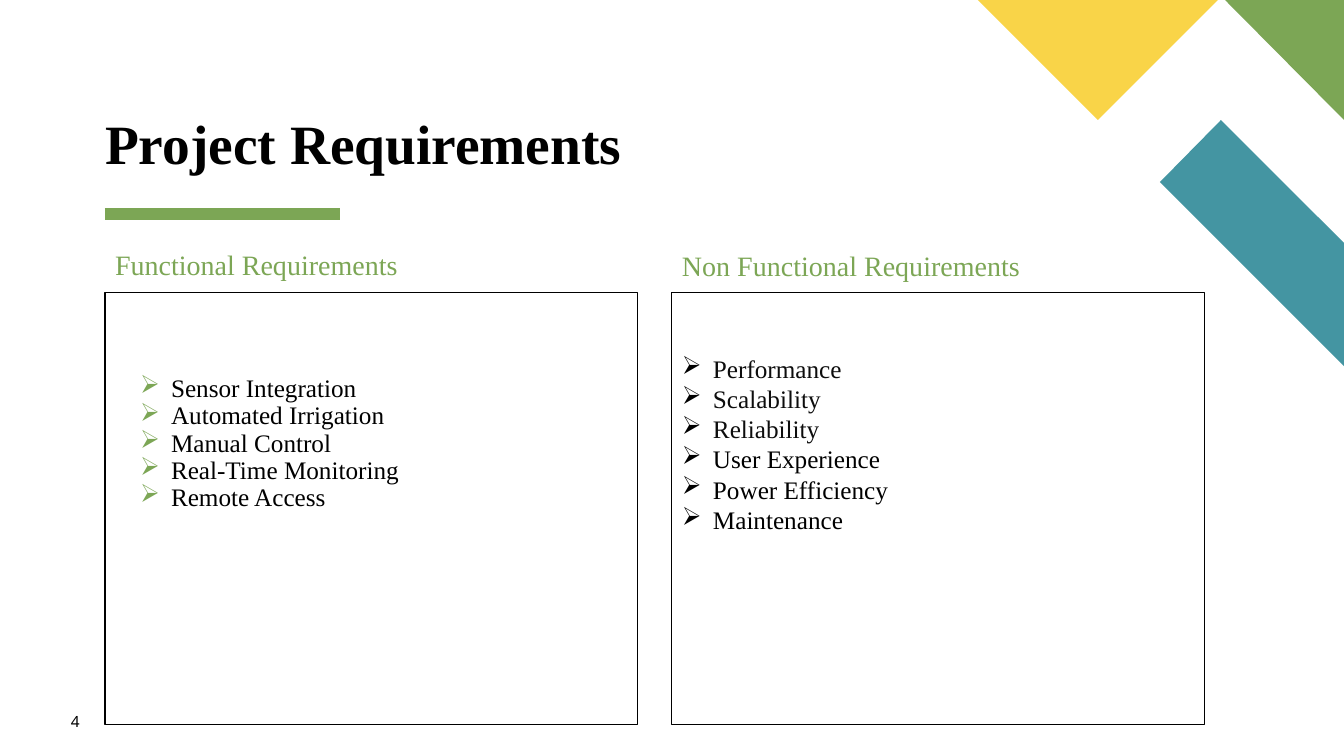
import lxml.etree
import pptx
import pptx.dml.color
import pptx.enum.shapes
import pptx.enum.text
import pptx.oxml.ns
import pptx.util

EMU_PER_PX = 914400 / 100.8
BLACK = pptx.dml.color.RGBColor(0x00, 0x00, 0x00)
INK = pptx.dml.color.RGBColor(0x0D, 0x0D, 0x0D)
GREEN = pptx.dml.color.RGBColor(0x7C, 0xA6, 0x55)
TEAL = pptx.dml.color.RGBColor(0x44, 0x95, 0xA2)
YELLOW = pptx.dml.color.RGBColor(0xF9, 0xD4, 0x48)
SERIF = "Times New Roman"
SANS = "Noto Sans"

PANEL_TOP, PANEL_WIDTH, PANEL_HEIGHT = 293, 533, 432
LEFT_COLUMN, RIGHT_COLUMN = 105, 672
BULLET_HANG = 31

CORNER_PIECES = [
    (TEAL, [(1344, 366), (1344, 243), (1221, 120), (1160, 182)]),
    (GREEN, [(1344, 120), (1344, 0), (1225, 0)]),
    (YELLOW, [(978, 0), (1098, 120), (1218, 0)]),
]
FUNCTIONAL = [
    ("Sensor Integration", BLACK),
    ("Automated Irrigation", BLACK),
    ("Manual Control", BLACK),
    ("Real-Time Monitoring", BLACK),
    ("Remote Access", BLACK),
]
NON_FUNCTIONAL = [
    ("Performance", INK),
    ("Scalability", INK),
    ("Reliability", INK),
    ("User Experience", BLACK),
    ("Power Efficiency", BLACK),
    ("Maintenance", BLACK),
]


def px(length):
    return pptx.util.Emu(round(length * EMU_PER_PX))


def set_frame(frame, left, top, right, bottom):
    frame.word_wrap = True
    frame.margin_left, frame.margin_top = px(left), px(top)
    frame.margin_right, frame.margin_bottom = px(right), px(bottom)


def style_paragraph(para, font, size, color, spacing, bold=False):
    para.alignment = pptx.enum.text.PP_ALIGN.LEFT
    para.line_spacing = spacing
    para.font.name = font
    para.font.size = pptx.util.Pt(size)
    para.font.color.rgb = color
    para.font.bold = bold


def add_label(page, text, bounds, font, size, color, inset=(0, 0), spacing=0.9,
              bold=False, anchor=pptx.enum.text.MSO_ANCHOR.TOP):
    box = page.shapes.add_textbox(*map(px, bounds))
    frame = box.text_frame
    set_frame(frame, *inset, *inset)
    frame.vertical_anchor = anchor
    para = frame.paragraphs[0]
    para.text = text
    style_paragraph(para, font, size, color, spacing, bold)


def add_corner_piece(page, color, points):
    builder = page.shapes.build_freeform(*points[0], scale=EMU_PER_PX)
    builder.add_line_segments(points[1:], close=True)
    piece = builder.convert_to_shape()
    piece.shadow.inherit = False
    piece.fill.solid()
    piece.fill.fore_color.rgb = color
    piece.line.fill.background()


def add_rule(page, left, right, y, color, width):
    rule = page.shapes.add_connector(
        pptx.enum.shapes.MSO_CONNECTOR.STRAIGHT, px(left), px(y), px(right), px(y))
    rule.line.color.rgb = color
    rule.line.width = pptx.util.Pt(width)
    properties = rule._element.spPr
    lxml.etree.SubElement(properties, pptx.oxml.ns.qn("a:effectLst"))


def add_bullet(para, indent, color):
    properties = para._p.get_or_add_pPr()
    properties.set("marL", str(px(indent)))
    properties.set("indent", str(-px(BULLET_HANG)))
    bullet_color = lxml.etree.SubElement(properties, pptx.oxml.ns.qn("a:buClr"))
    lxml.etree.SubElement(bullet_color, pptx.oxml.ns.qn("a:srgbClr"), val=str(color))
    lxml.etree.SubElement(properties, pptx.oxml.ns.qn("a:buChar"), char="➢")
    defaults = properties.find(pptx.oxml.ns.qn("a:defRPr"))
    properties.append(defaults)


def add_panel(page, left, items, top_inset, indent, spacing, bullet_color):
    panel = page.shapes.add_shape(
        pptx.enum.shapes.MSO_SHAPE.RECTANGLE,
        px(left), px(PANEL_TOP), px(PANEL_WIDTH), px(PANEL_HEIGHT))
    panel.shadow.inherit = False
    panel.fill.background()
    panel.line.color.rgb = BLACK
    panel.line.width = pptx.util.Pt(0.75)
    frame = panel.text_frame
    set_frame(frame, 10, top_inset, 10, 5)
    frame.vertical_anchor = pptx.enum.text.MSO_ANCHOR.TOP
    for index, (text, color) in enumerate(items):
        para = frame.paragraphs[0] if index == 0 else frame.add_paragraph()
        para.text = text
        style_paragraph(para, SERIF, 18, color, spacing)
        add_bullet(para, indent, bullet_color)


def main():
    deck = pptx.Presentation()
    deck.slide_width, deck.slide_height = px(1344), px(756)
    page = deck.slides.add_slide(deck.slide_layouts[6])

    add_rule(page, LEFT_COLUMN, 340, 214, GREEN, 8)
    for color, points in CORNER_PIECES:
        add_corner_piece(page, color, points)

    add_label(page, "Project Requirements", (LEFT_COLUMN, 129, 637, 47), SERIF, 39.6,
              BLACK, bold=True, anchor=pptx.enum.text.MSO_ANCHOR.BOTTOM)
    add_label(page, "Functional Requirements", (LEFT_COLUMN, 246, PANEL_WIDTH, 47),
              SERIF, 20, GREEN, inset=(10, 5))
    add_panel(page, LEFT_COLUMN, FUNCTIONAL, 83, 56, 0.9, GREEN)
    add_label(page, "4", (71, 712, 23, 27), SANS, 11, BLACK, spacing=1.0)
    add_label(page, "Non Functional Requirements", (RIGHT_COLUMN, 247, 566, 50),
              SERIF, 20, GREEN, inset=(10, 5))
    add_panel(page, RIGHT_COLUMN, NON_FUNCTIONAL, 60, BULLET_HANG, 1.0, BLACK)

    deck.save("out.pptx")


if __name__ == "__main__":
    main()
